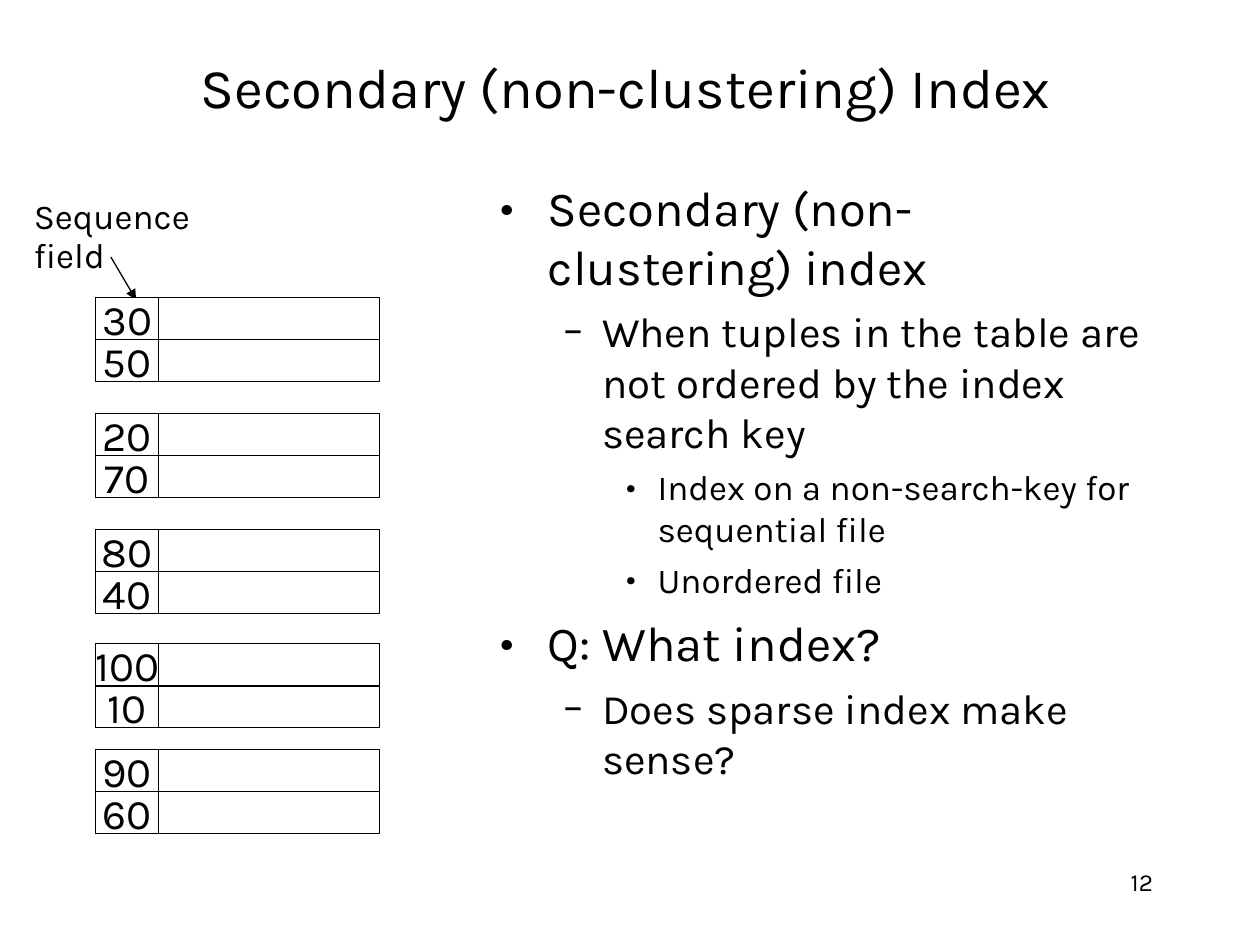
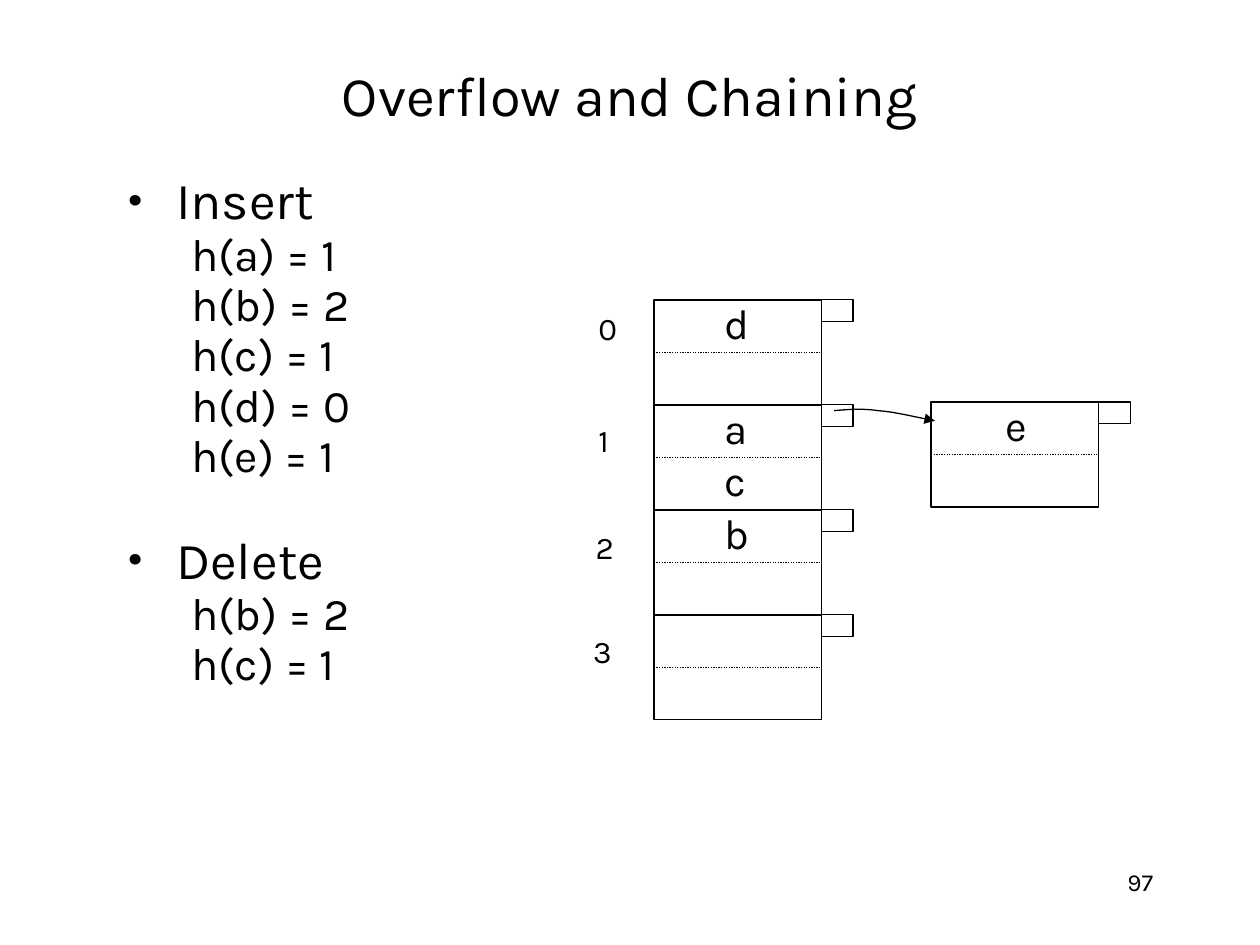
from lxml import etree
from pptx import Presentation
from pptx.dml.color import RGBColor
from pptx.enum.dml import MSO_LINE
from pptx.enum.shapes import MSO_CONNECTOR, MSO_SHAPE
from pptx.enum.text import MSO_ANCHOR, MSO_AUTO_SIZE, PP_ALIGN
from pptx.oxml.ns import qn
from pptx.util import Inches, Pt

RECTANGLE = MSO_SHAPE.RECTANGLE
STRAIGHT = MSO_CONNECTOR.STRAIGHT
DOTTED = MSO_LINE.ROUND_DOT
TOP, MIDDLE = MSO_ANCHOR.TOP, MSO_ANCHOR.MIDDLE
LEFT, CENTER, RIGHT = PP_ALIGN.LEFT, PP_ALIGN.CENTER, PP_ALIGN.RIGHT
GROW, FIXED = MSO_AUTO_SIZE.SHAPE_TO_FIT_TEXT, MSO_AUTO_SIZE.NONE

COLORS = {"ink": "000000", "paper": "FFFFFF"}
FONT = "Karla"
LINE_WIDTH = 0.75
ROW_HEIGHT = 1 / 3
BUCKET_WIDTH, BUCKET_HEIGHT = 1.33, 2.5 / 3

INDENTS = [(0.38, -0.38), (0.81, -0.31), (1.25, -0.25)]
BULLETS = ["•", "–", "•"]

RECORD_BLOCKS = [
    (2.36, ["30", "50"]),
    (3.28, ["20", "70"]),
    (4.2, ["80", "40"]),
    (5.11, ["100", "10"]),
    (5.95, ["90", "60"]),
]
INDEX_POINTS = [
    (0, "Secondary (non-clustering) index"),
    (1, "When tuples in the table are not ordered by the index search key"),
    (2, "Index on a non-search-key for sequential file"),
    (2, "Unordered file"),
    (0, "Q: What index?"),
    (1, "Does sparse index make sense?"),
]
HASH_STEPS = [
    ("Insert", ["h(a) = 1", "h(b) = 2", "h(c) = 1", "h(d) = 0", "h(e) = 1"]),
    ("Delete", ["h(b) = 2", "h(c) = 1"]),
]
BUCKETS = [["d"], ["a", "c"], ["b"], []]
BUCKET_LABELS = [(4.65, 2.4), (4.65, 3.29), (4.63, 4.14), (4.61, 4.97)]
CHAIN_CURVES = [
    [(6.62, 3.26), (6.73, 3.25), (6.84, 3.24), (6.97, 3.26)],
    [(6.97, 3.26), (7.11, 3.27), (7.26, 3.31), (7.42, 3.34)],
]


def color(name):
    """Return a named colour."""
    return RGBColor.from_string(COLORS[name])


def write(para, text, size, align=LEFT, before=0, spacing=None, level=0, indent=None, bullet=None):
    """Fill a paragraph with formatted text."""
    props = para._p.get_or_add_pPr()
    if indent:
        props.set("marL", str(Inches(indent[0])))
        props.set("indent", str(Inches(indent[1])))
    if bullet:
        etree.SubElement(props, qn("a:buFont")).set("typeface", FONT)
        etree.SubElement(props, qn("a:buChar")).set("char", bullet)
    para.level = level
    para.alignment = align
    para.space_before = Pt(before)
    if spacing:
        para.line_spacing = spacing
    span = para.add_run()
    span.text = text
    span.font.name = FONT
    span.font.size = Pt(size)
    span.font.color.rgb = color("ink")


def add_text(page, box, paragraphs, anchor=TOP, wrap=True, fit=FIXED):
    """Add a text box holding (text, format) paragraphs."""
    shape = page.shapes.add_textbox(*map(Inches, box))
    frame = shape.text_frame
    frame.word_wrap = wrap
    frame.auto_size = fit
    frame.vertical_anchor = anchor
    for index, (text, style) in enumerate(paragraphs):
        para = frame.add_paragraph() if index else frame.paragraphs[0]
        write(para, text, **style)


def style_line(shape, arrow=False):
    """Give a shape the thin outline, with an optional arrowhead."""
    shape.line.color.rgb = color("ink")
    shape.line.width = Pt(LINE_WIDTH)
    if arrow:
        etree.SubElement(shape.line._get_or_add_ln(), qn("a:tailEnd")).set("type", "triangle")


def add_cell(page, box, text=""):
    """Add an outlined rectangle with optional centred text."""
    cell = page.shapes.add_shape(RECTANGLE, *map(Inches, box))
    cell.shadow.inherit = False
    cell.fill.solid()
    cell.fill.fore_color.rgb = color("paper")
    style_line(cell)
    if text:
        cell.text_frame.word_wrap = False
        cell.text_frame.vertical_anchor = MIDDLE
        write(cell.text_frame.paragraphs[0], text, 24, align=CENTER)


def add_line(page, start, end, dash=None, arrow=False):
    """Add a straight line between two points."""
    line = page.shapes.add_connector(STRAIGHT, *map(Inches, (*start, *end)))
    if dash:
        line.line.dash_style = dash
    style_line(line, arrow)
    etree.SubElement(line._element.spPr, qn("a:effectLst"))


def curve_points(curve, steps=8):
    """Return slide points along a cubic curve, after its start."""
    points = []
    for step in range(1, steps + 1):
        t = step / steps
        weights = ((1 - t) ** 3, 3 * t * (1 - t) ** 2, 3 * t * t * (1 - t), t ** 3)
        points.append(tuple(
            Inches(sum(weight * point[axis] for weight, point in zip(weights, curve))) for axis in (0, 1)))
    return points


def add_curved_arrow(page, curves):
    """Add an open curved outline ending in an arrowhead."""
    builder = page.shapes.build_freeform(*map(Inches, curves[0][0]))
    builder.add_line_segments([point for curve in curves for point in curve_points(curve)], close=False)
    arrow = builder.convert_to_shape()
    arrow.shadow.inherit = False
    arrow.fill.background()
    style_line(arrow, arrow=True)


def add_page(deck, title, title_box, number):
    """Add a slide with its title and page number."""
    page = deck.slides.add_slide(deck.slide_layouts[6])
    page.background.fill.solid()
    page.background.fill.fore_color.rgb = color("paper")
    add_text(page, title_box, [(title, dict(size=32, align=CENTER))], anchor=MIDDLE)
    add_text(page, (7.17, 6.83, 2.08, 0.5), [(number, dict(size=14, align=RIGHT))])
    return page


def add_index_points(page, box):
    """Add the three-level bullet list on indexes."""
    paragraphs = []
    for index, (level, text) in enumerate(INDEX_POINTS):
        paragraphs.append((text, dict(
            size=28 - 4 * level, before=7 - level if index else 0, level=level,
            indent=INDENTS[level], bullet=BULLETS[level])))
    add_text(page, box, paragraphs)


def add_hash_steps(page, box):
    """Add the inserts and deletes with their hash values."""
    paragraphs = []
    for index, (heading, steps) in enumerate(HASH_STEPS):
        paragraphs.append((heading, dict(
            size=29.6, before=36.5 if index else 0, spacing=0.7, indent=INDENTS[0], bullet=BULLETS[0])))
        paragraphs += [
            (step, dict(size=25.9, before=7, spacing=0.7, level=1, indent=INDENTS[1])) for step in steps]
    add_text(page, box, paragraphs)


def add_record_block(page, left, top, keys):
    """Add a block of records, each a key cell and a data cell."""
    for row, key in enumerate(keys):
        row_top = top + row * ROW_HEIGHT
        add_cell(page, (left, row_top, 0.5, ROW_HEIGHT), key)
        add_cell(page, (left + 0.5, row_top, 1.75, ROW_HEIGHT))


def add_bucket(page, left, top, items, item_left=0.46):
    """Add a two-slot bucket with its overflow pointer cell."""
    right, middle = left + BUCKET_WIDTH, top + BUCKET_HEIGHT / 2
    add_cell(page, (left, top, BUCKET_WIDTH, BUCKET_HEIGHT))
    add_cell(page, (right, top, 0.25, 0.17))
    add_line(page, (left, middle), (right, middle), dash=DOTTED)
    for slot, item in enumerate(items):
        item_top = top - 0.07 + slot * BUCKET_HEIGHT / 2
        add_text(page, (left + item_left, item_top, 0.38, 0.5), [(item, dict(size=24))], fit=GROW)


def build_index_page(deck):
    """Build the slide on secondary indexes."""
    page = add_page(deck, "Secondary (non-clustering) Index", (0.72, 0.36, 8.5, 0.64), "12")
    add_index_points(page, (3.87, 1.36, 5.38, 5.3))
    caption = [("Sequence", dict(size=20)), ("field", dict(size=20, before=12.5, spacing=0.3))]
    add_text(page, (0.17, 1.49, 1.47, 0.71), caption, anchor=MIDDLE, wrap=False, fit=GROW)
    add_line(page, (0.88, 2.04), (1.08, 2.38), arrow=True)
    for top, keys in RECORD_BLOCKS:
        add_record_block(page, 0.76, top, keys)


def build_chaining_page(deck):
    """Build the slide on overflow chains."""
    page = add_page(deck, "Overflow and Chaining", (0.75, 0.37, 8.5, 0.76), "97")
    add_hash_steps(page, (0.92, 1.42, 3.02, 4.5))
    for index, (items, label_at) in enumerate(zip(BUCKETS, BUCKET_LABELS)):
        add_bucket(page, 5.19, 2.38 + index * BUCKET_HEIGHT, items)
        add_text(page, (*label_at, 0.34, 0.4), [(str(index), dict(size=18))], wrap=False, fit=GROW)
    add_bucket(page, 7.39, 3.19, ["e"], item_left=0.49)
    add_curved_arrow(page, CHAIN_CURVES)


def main():
    """Build and save the deck."""
    deck = Presentation()
    deck.slide_width, deck.slide_height = Inches(10), Inches(7.5)
    build_index_page(deck)
    build_chaining_page(deck)
    deck.save("out.pptx")


if __name__ == "__main__":
    main()
